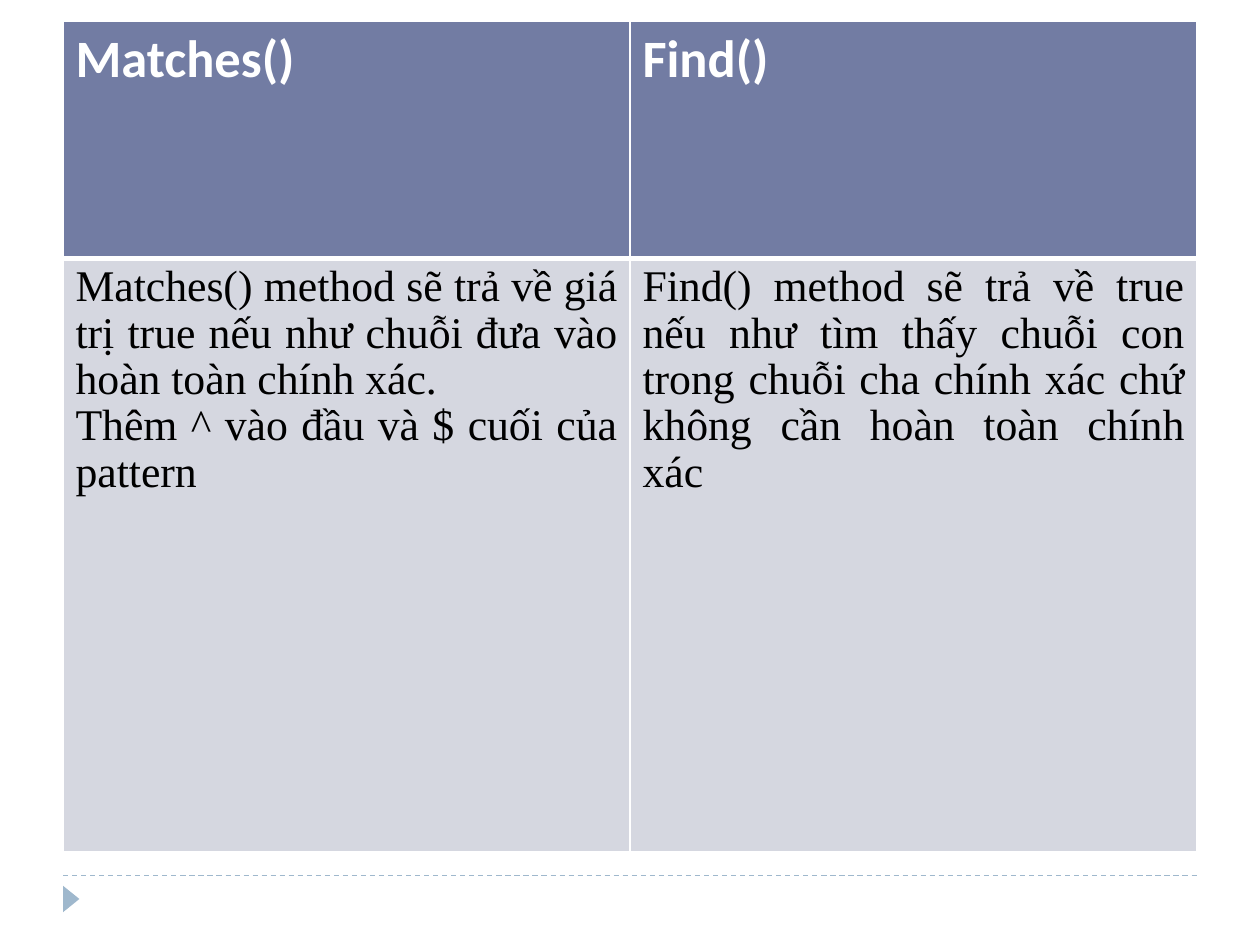
from lxml import etree
from pptx import Presentation
from pptx.dml.color import RGBColor
from pptx.enum.dml import MSO_LINE
from pptx.enum.shapes import MSO_CONNECTOR, MSO_SHAPE
from pptx.enum.text import PP_ALIGN as Align
from pptx.oxml.ns import qn
from pptx.util import Inches, Pt

METHODS = [
    ("Matches()", [
        "Matches() method sẽ trả về giá trị true nếu như chuỗi đưa vào hoàn toàn chính xác.",
        "Thêm ^ vào đầu và $ cuối của pattern",
    ]),
    ("Find()", [
        "Find() method sẽ trả về true nếu như tìm thấy chuỗi con trong chuỗi cha "
        "chính xác chứ không cần hoàn toàn chính xác",
    ]),
]
HEADING = {
    "font": {"name": "Calibri", "size": Pt(30), "bold": True},
    "paragraph": {"alignment": Align.LEFT},
    "ink": "FFFFFF", "fill": "727CA3", "bottom": 3, "top": 1,
}
DESCRIPTION = {
    "font": {"name": "Times New Roman", "size": Pt(25), "bold": False},
    "paragraph": {"alignment": Align.JUSTIFY, "line_spacing": 0.96},
    "ink": "000000", "fill": "D5D7E0", "bottom": 1, "top": 3,
}
ACCENT, BORDER = "9FB8CD", "FFFFFF"
LEFT, TOP, WIDTH = 0.5, 0.17, 9
ROW_HEIGHTS = (1.88, 4.71)
FOOTER_Y = 6.95


def rgb(code):
    """Turn a hex string into a colour."""
    return RGBColor.from_string(code)


def apply(target, values):
    """Set every attribute named in a dict of format values."""
    for attribute, setting in values.items():
        setattr(target, attribute, setting)


def add_border(cell, side, points):
    """Draw one solid edge of a cell; call before the cell is filled."""
    edge = etree.SubElement(cell._tc.get_or_add_tcPr(), qn(f"a:ln{side}"), w=str(Pt(points)))
    solid = etree.SubElement(edge, qn("a:solidFill"))
    etree.SubElement(solid, qn("a:srgbClr"), val=BORDER)


def fill_cell(cell, lines, style):
    """Write paragraphs into a cell with its borders, fill and text style."""
    for side, points in (("L", 1), ("R", 1), ("T", style["top"]), ("B", style["bottom"])):
        add_border(cell, side, points)
    cell.fill.solid()
    cell.fill.fore_color.rgb = rgb(style["fill"])
    cell.text = "\n".join(lines)
    for paragraph in cell.text_frame.paragraphs:
        apply(paragraph, style["paragraph"])
        for run in paragraph.runs:
            apply(run.font, style["font"])
            run.font.color.rgb = rgb(style["ink"])


def add_footer(slide):
    """Add the dashed rule and the pointer beneath the table."""
    rule = slide.shapes.add_connector(
        MSO_CONNECTOR.STRAIGHT, Inches(LEFT), Inches(FOOTER_Y),
        Inches(LEFT + WIDTH), Inches(FOOTER_Y))
    apply(rule.line, {"width": Pt(0.75), "dash_style": MSO_LINE.DASH})
    rule.line.color.rgb = rgb(ACCENT)
    etree.SubElement(rule._element.spPr, qn("a:effectLst"))

    pointer = slide.shapes.add_shape(
        MSO_SHAPE.ISOSCELES_TRIANGLE, Inches(0.46), Inches(7.07), Inches(0.21), Inches(0.13))
    pointer.rotation = 90
    pointer.shadow.inherit = False
    pointer.fill.solid()
    pointer.fill.fore_color.rgb = rgb(ACCENT)
    pointer.line.fill.background()


def add_comparison(slide):
    """Add the table with one column for each method."""
    table = slide.shapes.add_table(
        len(ROW_HEIGHTS), len(METHODS), Inches(LEFT), Inches(TOP),
        Inches(WIDTH), Inches(sum(ROW_HEIGHTS))).table
    for row, height in zip(table.rows, ROW_HEIGHTS):
        row.height = Inches(height)
    for index, (method, description) in enumerate(METHODS):
        table.columns[index].width = Inches(WIDTH / len(METHODS))
        fill_cell(table.cell(0, index), [method], HEADING)
        fill_cell(table.cell(1, index), description, DESCRIPTION)


deck = Presentation()
apply(deck, {"slide_width": Inches(10), "slide_height": Inches(7.5)})
comparison = deck.slides.add_slide(deck.slide_layouts[6])
add_footer(comparison)
add_comparison(comparison)
deck.save("out.pptx")
